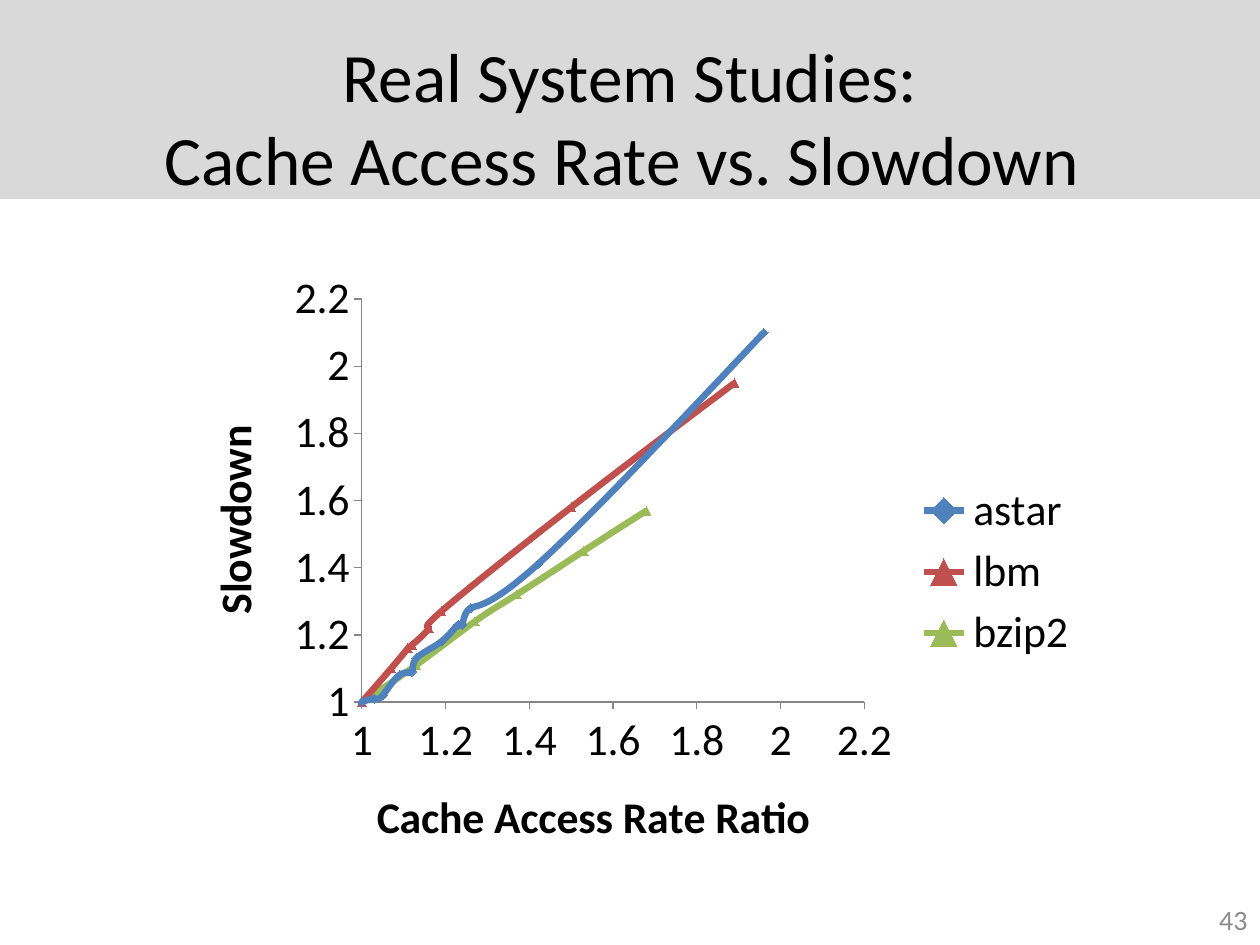
from dataclasses import dataclass

from lxml import etree
from pptx import Presentation
from pptx.chart.data import XyChartData
from pptx.dml.color import RGBColor
from pptx.enum import chart as charts, shapes, text
from pptx.oxml import ns
from pptx.util import Cm, Pt


@dataclass(frozen=True)
class Theme:
    font: str = "Calibri"
    black: str = "000000"
    band: str = "D9D9D9"
    muted: str = "8C8C8C"
    axis: str = "868686"
    title_size: float = 39.6
    chart_size: float = 25
    number_size: float = 16


THEME = Theme()

# Each benchmark: name, colour, marker, (access rate ratio, slowdown) points
BENCHMARKS = [
    ("astar", "4F81BD", charts.XL_MARKER_STYLE.DIAMOND,
     [(1.96, 2.1), (1.42, 1.41), (1.26, 1.28), (1.24, 1.23), (1.23, 1.23),
      (1.19, 1.18), (1.13, 1.13), (1.12, 1.09), (1.09, 1.08), (1.05, 1.02),
      (1.03, 1.01), (1, 1)]),
    ("lbm", "C0504D", charts.XL_MARKER_STYLE.TRIANGLE,
     [(1.89, 1.95), (1.5, 1.58), (1.19, 1.27), (1.16, 1.22), (1.12, 1.17),
      (1.11, 1.16), (1.07, 1.1), (1, 1)]),
    ("bzip2", "9BBB59", charts.XL_MARKER_STYLE.TRIANGLE,
     [(1.68, 1.57), (1.53, 1.45), (1.37, 1.32), (1.27, 1.24), (1.13, 1.11),
      (1, 1)]),
]


def rgb(color):
    return RGBColor.from_string(color)


def style_font(font, size, color=THEME.black, bold=False):
    font.name = THEME.font
    font.size = Pt(size)
    font.bold = bold
    font.color.rgb = rgb(color)


def fill_text(shape, content, size, color, alignment):
    frame = shape.text_frame
    frame.word_wrap = True
    frame.auto_size = text.MSO_AUTO_SIZE.NONE
    frame.vertical_anchor = text.MSO_ANCHOR.MIDDLE
    frame.text = content
    paragraph = frame.paragraphs[0]
    paragraph.alignment = alignment
    for run in paragraph.runs:
        style_font(run.font, size, color)


def add_band(slide):
    band = slide.shapes.add_shape(
        shapes.MSO_SHAPE.RECTANGLE, 0, 0, Cm(25.4), Cm(4.01))
    band.shadow.inherit = False
    band.fill.solid()
    band.fill.fore_color.rgb = rgb(THEME.band)
    band.line.fill.background()
    # Keep the band behind the title
    slide.shapes._spTree.insert(2, band._element)


def format_title(slide, content):
    title = slide.shapes.title
    title.left, title.top = Cm(1.27), Cm(0.76)
    title.width, title.height = Cm(22.86), Cm(3.18)
    fill_text(title, content, THEME.title_size, THEME.black,
              text.PP_ALIGN.CENTER)


def add_page_number(slide, number):
    box = slide.shapes.add_textbox(Cm(19.48), Cm(18.03), Cm(5.92), Cm(1.02))
    fill_text(box, number, THEME.number_size, THEME.muted,
              text.PP_ALIGN.RIGHT)


def format_axis(axis, title):
    axis.minimum_scale, axis.maximum_scale = 1, 2.2
    axis.major_unit = 0.2
    axis.has_major_gridlines = False
    axis.major_tick_mark = charts.XL_TICK_MARK.OUTSIDE
    axis.minor_tick_mark = charts.XL_TICK_MARK.NONE
    axis.tick_labels.number_format = "General"
    axis.tick_labels.number_format_is_linked = False
    axis.format.line.color.rgb = rgb(THEME.axis)
    axis.format.line.width = Pt(0.75)
    frame = axis.axis_title.text_frame
    frame.text = title
    style_font(frame.paragraphs[0].runs[0].font, THEME.chart_size, bold=True)


def format_series(series, color, marker):
    series.format.line.color.rgb = rgb(color)
    series.format.line.width = Pt(3.75)
    series.marker.style = marker
    series.marker.size = 5
    series.marker.format.fill.solid()
    series.marker.format.fill.fore_color.rgb = rgb(color)
    series.marker.format.line.fill.background()
    series._element.find(ns.qn("c:smooth")).set("val", "1")


def place_plot(chart, **fractions):
    """Fix the inner plot area as fractions of the chart frame."""
    area = chart._chartSpace.chart.plotArea
    layout = area.find(ns.qn("c:layout"))
    if layout is None:
        layout = etree.Element(ns.qn("c:layout"))
        area.insert(0, layout)
    manual = etree.SubElement(layout, ns.qn("c:manualLayout"))
    settings = {"layoutTarget": "inner", "xMode": "edge", "yMode": "edge",
                **fractions}
    for name, value in settings.items():
        etree.SubElement(manual, ns.qn(f"c:{name}")).set("val", str(value))


def add_slowdown_chart(slide):
    data = XyChartData()
    for name, _, _, points in BENCHMARKS:
        series = data.add_series(name)
        for ratio, slowdown in points:
            series.add_data_point(ratio, slowdown)
    chart = slide.shapes.add_chart(
        charts.XL_CHART_TYPE.XY_SCATTER_SMOOTH,
        Cm(3.61), Cm(5.28), Cm(18.42), Cm(12.5), data).chart
    style_font(chart.font, THEME.chart_size)
    chart.has_title = False
    chart.has_legend = True
    chart.legend.position = charts.XL_LEGEND_POSITION.RIGHT
    chart.legend.include_in_layout = False
    chart.plots[0].vary_by_categories = False
    format_axis(chart.category_axis, "Cache Access Rate Ratio")
    format_axis(chart.value_axis, "Slowdown")
    for series, (_, color, marker, _) in zip(chart.plots[0].series, BENCHMARKS):
        format_series(series, color, marker)
    place_plot(chart, x=0.2, y=0.06, w=0.55, h=0.65)


def main():
    presentation = Presentation()
    presentation.slide_width, presentation.slide_height = Cm(25.4), Cm(19.05)
    slide = presentation.slides.add_slide(presentation.slide_layouts[5])

    # Heading
    add_band(slide)
    format_title(slide, "Real System Studies:\vCache Access Rate vs. Slowdown ")

    # Measurements
    add_slowdown_chart(slide)

    # Footer
    add_page_number(slide, "43")
    presentation.save("out.pptx")


if __name__ == "__main__":
    main()
